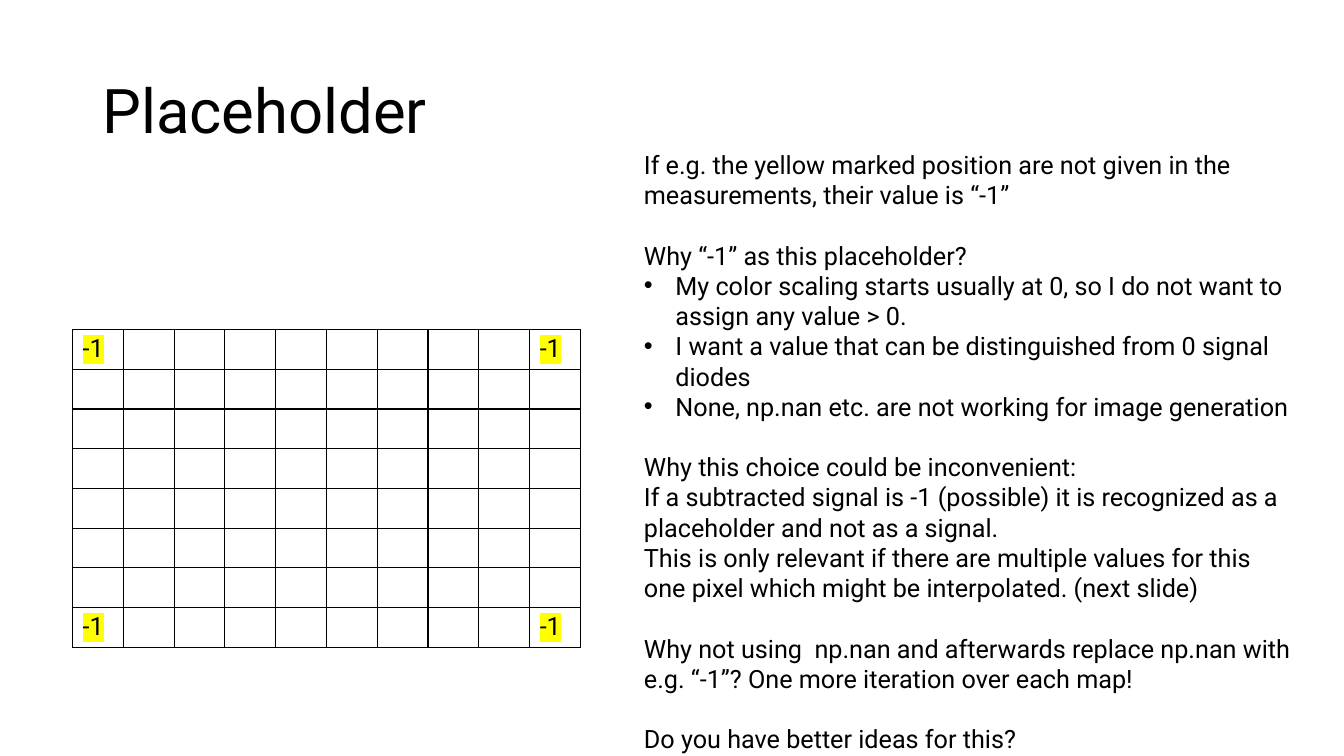
import pptx
import pptx.util
import pptx.dml.color
import pptx.enum.text
import pptx.oxml
import pptx.oxml.ns
from lxml import etree

Pt = pptx.util.Pt
qn = pptx.oxml.ns.qn
BLACK = pptx.dml.color.RGBColor(0x00, 0x00, 0x00)
YELLOW = pptx.dml.color.RGBColor(0xFF, 0xFF, 0x00)
FONT = "Roboto"

TITLE = "Placeholder"
MISSING = "-1"
ROWS, COLUMNS = 8, 10
MARKED = [(row, column) for row in (0, ROWS - 1) for column in (0, COLUMNS - 1)]

SECTIONS = [
    [("If e.g. the yellow marked position are not given in the measurements, "
      "their value is “-1”", False)],
    [("Why “-1” as this placeholder?", False),
     ("My color scaling starts usually at 0, so I do not want to assign any value > 0.", True),
     ("I want a value that can be distinguished from 0 signal diodes", True),
     ("None, np.nan etc. are not working for image generation", True)],
    [("Why this choice could be inconvenient:", False),
     ("If a subtracted signal is -1 (possible) it is recognized as a placeholder "
      "and not as a signal.", False),
     ("This is only relevant if there are multiple values for this one pixel "
      "which might be interpolated. (next slide)", False)],
    [("Why not using  np.nan and afterwards replace np.nan with e.g. “-1”? "
      "One more iteration over each map!", False)],
    [("Do you have better ideas for this?", False)],
]

TITLE_BOX = (66, 28.8, 828, 104.4)
GRID_LEFT, GRID_TOP = 51.8, 235.4
CELL_WIDTH, CELL_HEIGHT = 36.3, 28.4
REASONS_BOX = (452.9, 103, 477.4, 465)
LINE_HEIGHT = 21.6
INDENT = 22.5


def write(paragraph, text, size=18, line_spacing=None, space_before=0,
          bullet=False, highlight=None):
    paragraph.alignment = pptx.enum.text.PP_ALIGN.LEFT
    paragraph.space_before = Pt(space_before)
    if line_spacing:
        paragraph.line_spacing = line_spacing
    if bullet:
        properties = paragraph._p.get_or_add_pPr()
        properties.set("marL", str(Pt(INDENT)))
        properties.set("indent", str(-Pt(INDENT)))
        etree.SubElement(properties, qn("a:buFont")).set("typeface", "Arial")
        etree.SubElement(properties, qn("a:buChar")).set("char", "•")
    run = paragraph.add_run()
    run.text = text
    run.font.size = Pt(size)
    run.font.name = FONT
    run.font.color.rgb = BLACK
    if highlight is not None:
        marker = etree.Element(qn("a:highlight"))
        etree.SubElement(marker, qn("a:srgbClr")).set("val", str(highlight))
        run._r.rPr.find(qn("a:solidFill")).addnext(marker)


def outline(cell):
    properties = cell._tc.get_or_add_tcPr()
    for position, side in enumerate(("lnL", "lnR", "lnT", "lnB")):
        border = etree.Element(qn("a:" + side), w=str(Pt(1)))
        fill = etree.SubElement(border, qn("a:solidFill"))
        etree.SubElement(fill, qn("a:srgbClr")).set("val", str(BLACK))
        properties.insert(position, border)


def add_title(slide):
    title = slide.shapes.title
    title.left, title.top, title.width, title.height = map(Pt, TITLE_BOX)
    frame = title.text_frame
    frame.auto_size = pptx.enum.text.MSO_AUTO_SIZE.NONE
    frame.vertical_anchor = pptx.enum.text.MSO_ANCHOR.MIDDLE
    write(frame.paragraphs[0], TITLE, size=44, line_spacing=0.9)


def add_grid(slide):
    grid = slide.shapes.add_table(
        ROWS, COLUMNS, Pt(GRID_LEFT), Pt(GRID_TOP),
        Pt(CELL_WIDTH * COLUMNS), Pt(CELL_HEIGHT * ROWS)).table
    grid.first_row = False
    grid.horz_banding = False
    for column in grid.columns:
        column.width = Pt(CELL_WIDTH)
    for row in grid.rows:
        row.height = Pt(CELL_HEIGHT)
    for cell in grid.iter_cells():
        cell.margin_bottom = Pt(2)
        cell.fill.background()
        outline(cell)
    for row, column in MARKED:
        write(grid.cell(row, column).text_frame.paragraphs[0], MISSING, highlight=YELLOW)


def add_reasons(slide):
    frame = slide.shapes.add_textbox(*map(Pt, REASONS_BOX)).text_frame
    frame.word_wrap = True
    frame.auto_size = pptx.enum.text.MSO_AUTO_SIZE.SHAPE_TO_FIT_TEXT
    for number, section in enumerate(SECTIONS):
        for position, (text, bullet) in enumerate(section):
            opening = position == 0
            first = opening and number == 0
            paragraph = frame.paragraphs[0] if first else frame.add_paragraph()
            write(paragraph, text, bullet=bullet, line_spacing=Pt(LINE_HEIGHT),
                  space_before=LINE_HEIGHT if opening and not first else 0)


def main():
    presentation = pptx.Presentation()
    presentation.slide_width, presentation.slide_height = Pt(960), Pt(540)
    slide = presentation.slides.add_slide(presentation.slide_layouts[5])
    add_title(slide)
    add_grid(slide)
    add_reasons(slide)
    presentation.save("out.pptx")


if __name__ == "__main__":
    main()
